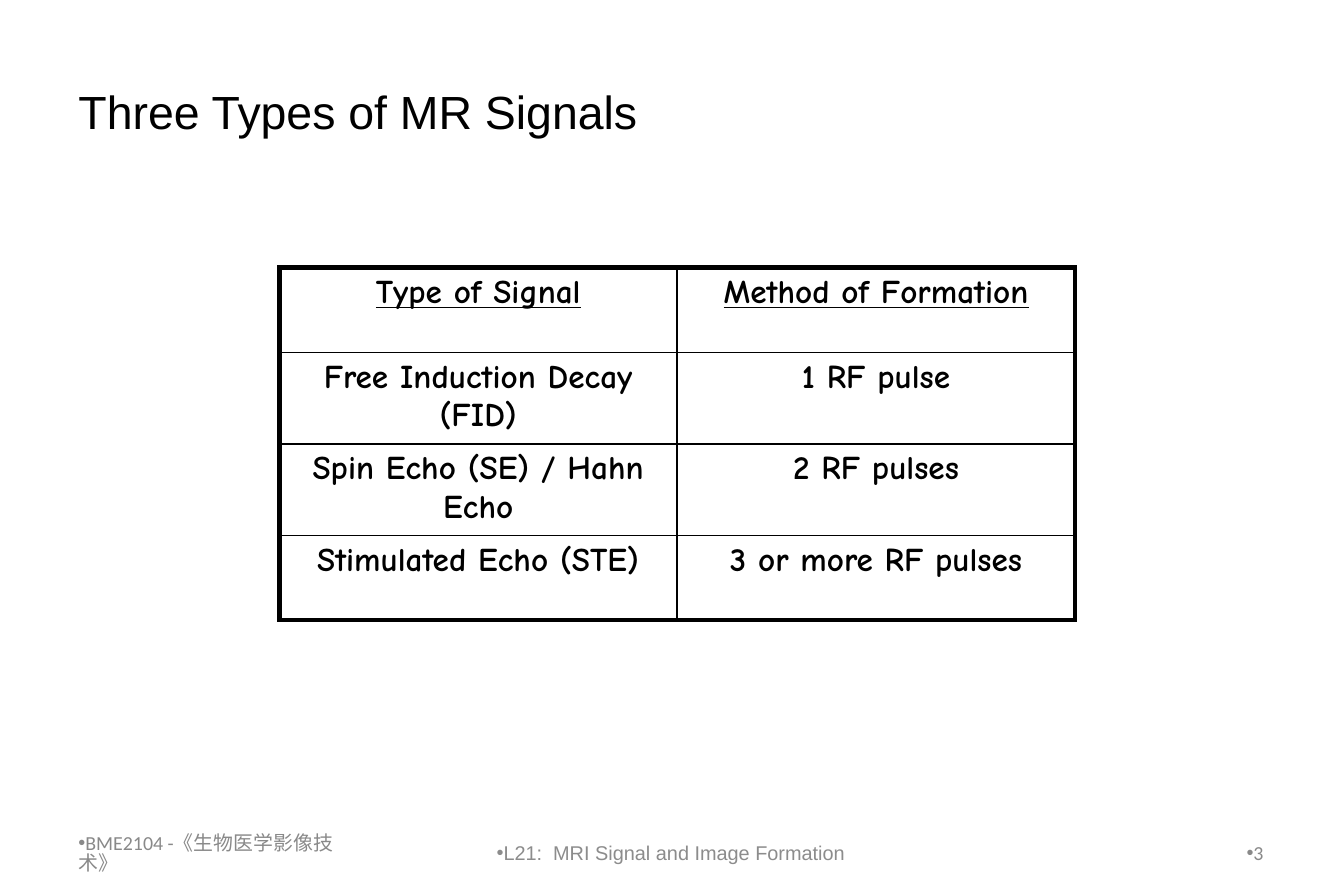
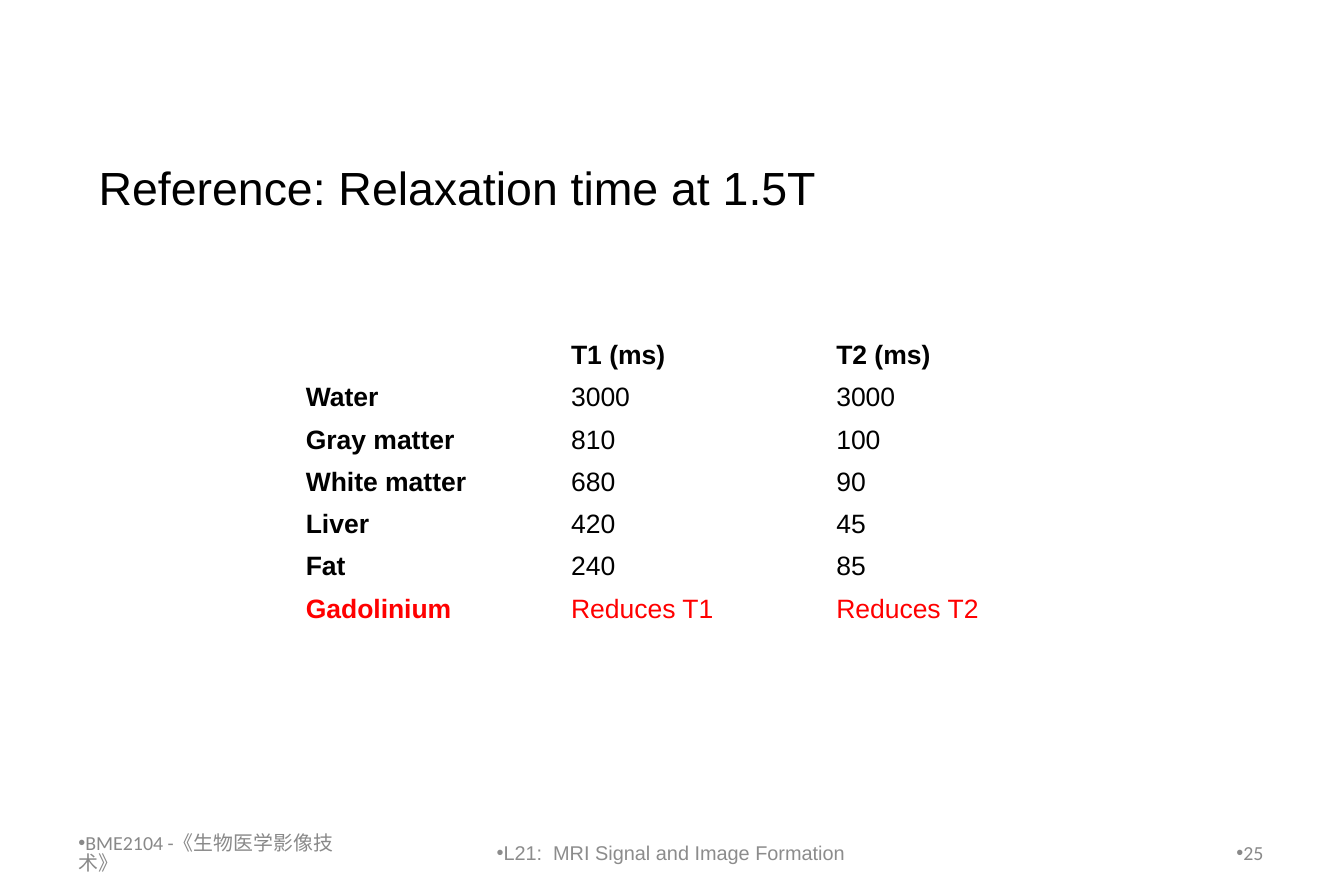
from lxml import etree
from pptx import Presentation
from pptx import util as u
from pptx.dml import color
from pptx.enum import text
from pptx.oxml import ns

BLACK, WHITE, RED = "000000", "FFFFFF", "FF0000"
NUMBER_GRAY, FOOTER_GRAY = "898989", "8C8C8C"
THICK, THIN = 3, 1
LEFT, CENTER, RIGHT = text.PP_ALIGN.LEFT, text.PP_ALIGN.CENTER, text.PP_ALIGN.RIGHT
TITLE_SIZE = (25.7, 3.18)
FOOTER_TOP, FOOTER_HEIGHT = 17.65, 1.02

SIGNALS = [
    ("Type of Signal", "Method of Formation"),
    ("Free Induction Decay (FID)", "1 RF pulse"),
    ("Spin Echo (SE) / Hahn Echo", "2 RF pulses"),
    ("Stimulated Echo (STE)", "3 or more RF pulses"),
]
RELAXATION = [
    ("", "T1 (ms)", "T2 (ms)"),
    ("Water", "3000", "3000"),
    ("Gray matter", "810", "100"),
    ("White matter", "680", "90"),
    ("Liver", "420", "45"),
    ("Fat", "240", "85"),
    ("Gadolinium", "Reduces T1", "Reduces T2"),
]


def rgb(value):
    """Return the colour for a hex string."""
    return color.RGBColor.from_string(value)


def add_element(parent, tag, **attributes):
    """Append a drawing element to its parent and return it."""
    return etree.SubElement(parent, ns.qn(tag), attributes)


def write(frame, words, font, size, hue, align=LEFT, bold=False, underline=False):
    """Fill a text frame with one styled paragraph and return the paragraph."""
    frame.text = words
    para = frame.paragraphs[0]
    para.alignment = align
    for span in para.runs:
        span.font.name = font
        span.font.size = u.Pt(size)
        span.font.bold = bold
        span.font.underline = underline
        span.font.color.rgb = rgb(hue)
    if not para.runs:
        add_element(para._p, "a:endParaRPr", sz=str(size * 100))
    return para


def add_text(page, box, words, font, size, hue, align=LEFT):
    """Place a wrapped, vertically centred text box and return its paragraph."""
    frame = page.shapes.add_textbox(*map(u.Cm, box)).text_frame
    frame.word_wrap = True
    frame.vertical_anchor = text.MSO_ANCHOR.MIDDLE
    return write(frame, words, font, size, hue, align)


def add_title(page, left, top, words):
    """Place the slide title."""
    add_text(page, (left, top, *TITLE_SIZE), words, "Arial", 28, BLACK)


def add_footer(page, number):
    """Place the course, lecture and page number along the foot."""
    parts = [
        (1.42, 6.65, "BME2104 -《生物医学影像技术》", "Calibri", NUMBER_GRAY, LEFT),
        (9.75, 9.04, "L21:  MRI Signal and Image Formation", "Arial", FOOTER_GRAY, CENTER),
        (20.47, 6.65, str(number), "Calibri", NUMBER_GRAY, RIGHT),
    ]
    for left, width, words, font, hue, align in parts:
        box = (left, FOOTER_TOP, width, FOOTER_HEIGHT)
        para = add_text(page, box, words, font, 12, hue, align)
        para.line_spacing = 0.85
        properties = para._p.get_or_add_pPr()
        properties.set("marL", "0")
        properties.set("indent", "0")
        add_element(properties, "a:buFont", typeface="Arial")
        add_element(properties, "a:buChar", char="•")


def add_borders(cell, left, right, top, bottom):
    """Draw black cell borders with the given point widths."""
    properties = cell._tc.get_or_add_tcPr()
    for side, width in zip("LRTB", (left, right, top, bottom)):
        line = add_element(properties, f"a:ln{side}", w=str(u.Pt(width)))
        add_element(add_element(line, "a:solidFill"), "a:srgbClr", val=BLACK)


def add_grid(page, left, top, column_width, row_heights, rows):
    """Place an unstyled table and return it."""
    count = len(rows[0])
    box = (left, top, column_width * count, sum(row_heights))
    table = page.shapes.add_table(len(rows), count, *map(u.Cm, box)).table
    table.first_row = table.horz_banding = False
    for column in table.columns:
        column.width = u.Cm(column_width)
    for row, height in zip(table.rows, row_heights):
        row.height = u.Cm(height)
    return table


def fill_white(cell):
    """Give a cell a plain white background."""
    cell.fill.solid()
    cell.fill.fore_color.rgb = rgb(WHITE)


def add_signal_table(page, left, top):
    """Place the framed table of signal types."""
    table = add_grid(page, left, top, 8.46, (1.8, 1.93, 1.93, 1.8), SIGNALS)
    last_row, last_column = len(SIGNALS) - 1, len(SIGNALS[0]) - 1
    for i, row in enumerate(SIGNALS):
        for j, words in enumerate(row):
            cell = table.cell(i, j)
            edges = (j == 0, j == last_column, i == 0, i == last_row)
            add_borders(cell, *(THICK if edge else THIN for edge in edges))
            fill_white(cell)
            write(cell.text_frame, words, "Comic Neue", 20, BLACK, CENTER,
                  bold=True, underline=i == 0)


def add_relaxation_table(page, left, top):
    """Place the borderless table of relaxation times."""
    table = add_grid(page, left, top, 5.64, [0.88] * len(RELAXATION), RELAXATION)
    for i, row in enumerate(RELAXATION):
        hue = RED if row[0] == "Gadolinium" else BLACK
        for j, words in enumerate(row):
            cell = table.cell(i, j)
            fill_white(cell)
            cell.vertical_anchor = text.MSO_ANCHOR.MIDDLE
            cell.margin_top = cell.margin_bottom = u.Cm(0.11)
            write(cell.text_frame, words, "Arial", 16, hue, bold=i == 0 or j == 0)


def build_signal_slide(page):
    """Build the slide on signal types."""
    add_title(page, 1.42, 0.76, "Three Types of MR Signals")
    add_signal_table(page, 5.94, 5.69)
    add_footer(page, 3)


def build_relaxation_slide(page):
    """Build the slide on relaxation times."""
    add_title(page, 1.85, 2.39, "Reference: Relaxation time at 1.5T")
    add_relaxation_table(page, 6.25, 7.11)
    add_footer(page, 25)


def main():
    """Build and save the deck."""
    deck = Presentation()
    deck.slide_width, deck.slide_height = u.Cm(28.58), u.Cm(19.05)
    for build in (build_signal_slide, build_relaxation_slide):
        build(deck.slides.add_slide(deck.slide_layouts[6]))
    deck.save("out.pptx")


if __name__ == "__main__":
    main()
